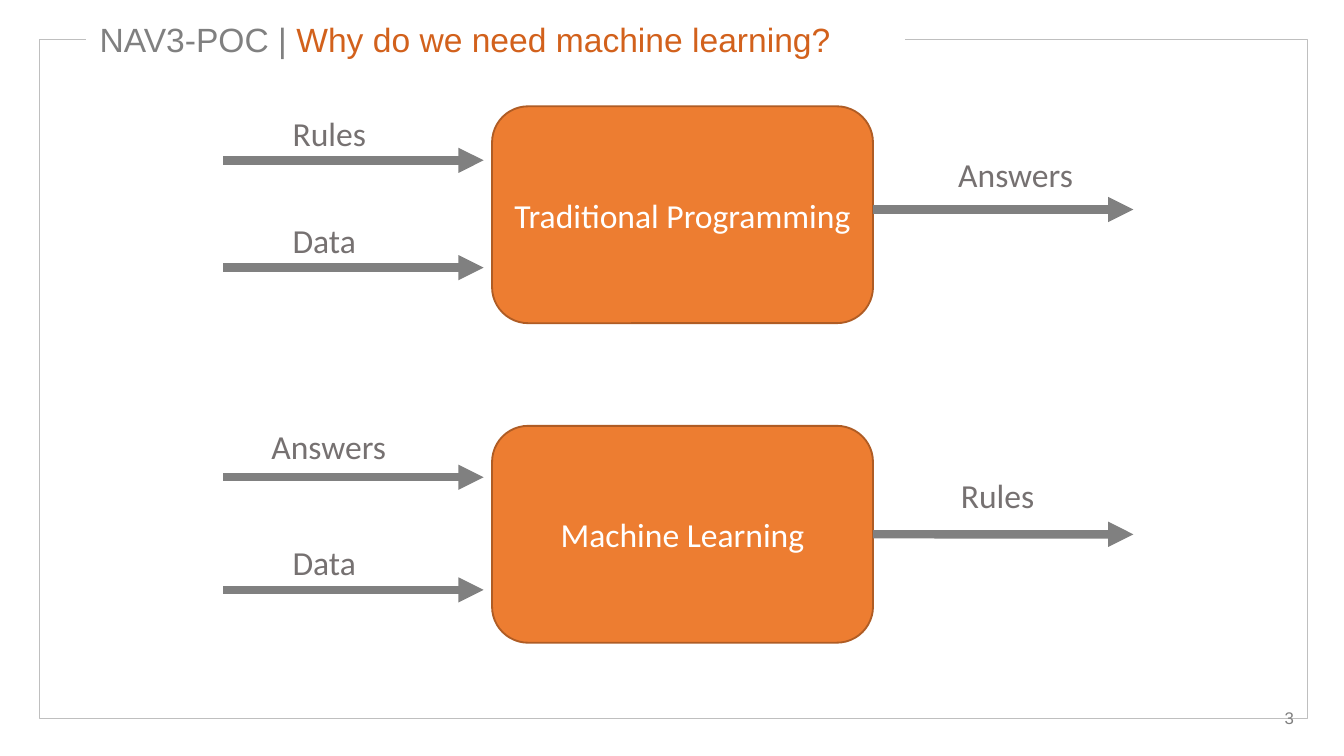
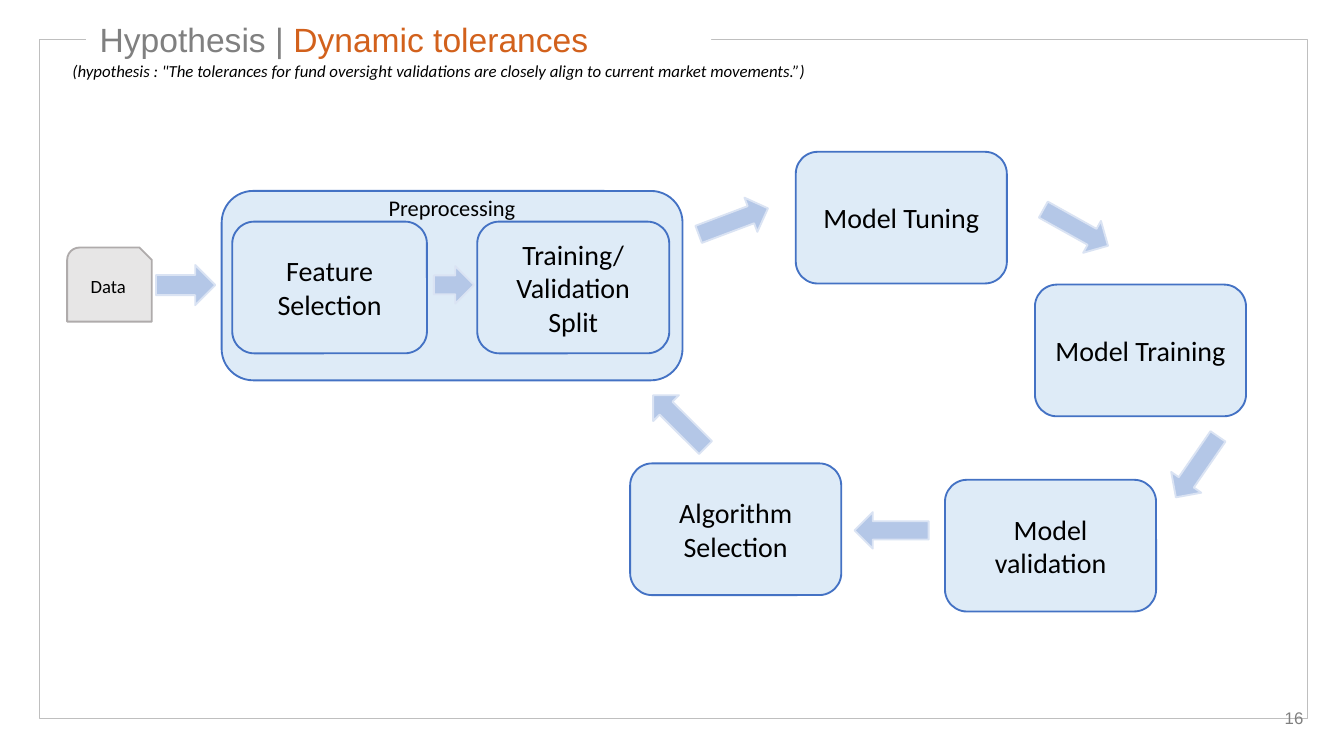
from lxml import etree
from pptx import Presentation
from pptx.dml.color import RGBColor
from pptx.enum import shapes, text
from pptx.oxml.ns import qn
from pptx.util import Cm, Pt

COLOURS = {
    "paper": "FFFFFF", "ink": "000000", "frame": "BFBFBF", "grey": "808080",
    "accent": "D2611C", "label": "767171", "orange": "ED7D31", "rust": "AF5C24",
    "pale": "DEEBF7", "blue": "4472C4", "arrow": "B4C7E7", "arrow_edge": "DAE3F3",
    "data": "E7E6E6", "data_edge": "AFABAB",
}
LABEL_WIDTHS = {"Rules": 1.9, "Data": 1.73, "Answers": 2.69}
SHAPE = shapes.MSO_SHAPE


def colour(name):
    """Return the named palette colour."""
    return RGBColor.from_string(COLOURS[name])


def style_font(font, size, ink, family="Calibri", italic=None):
    """Give a font its family, size and colour."""
    font.name, font.size, font.italic = family, Pt(size), italic
    font.color.rgb = colour(ink)


def add_block(slide, kind, box, fill, edge, weight=1):
    """Draw a preset shape in a box of centimetres."""
    block = slide.shapes.add_shape(kind, *map(Cm, box))
    block.shadow.inherit = False
    if fill:
        block.fill.solid()
        block.fill.fore_color.rgb = colour(fill)
    else:
        block.fill.background()
    block.line.color.rgb = colour(edge)
    block.line.width = Pt(weight)
    return block


def add_node(slide, words, box, fill="pale", edge="blue", size=15, ink="ink",
             kind=SHAPE.ROUNDED_RECTANGLE):
    """Draw a block with centred words."""
    node = add_block(slide, kind, box, fill, edge)
    frame = node.text_frame
    frame.text = words
    frame.word_wrap = True
    frame.vertical_anchor = text.MSO_ANCHOR.MIDDLE
    frame.margin_left = frame.margin_right = Cm(0.2)
    for paragraph in frame.paragraphs:
        paragraph.alignment = text.PP_ALIGN.CENTER
        style_font(paragraph.font, size, ink)
    return node


def add_note(slide, words, box, size, ink, family="Calibri", italic=None, wrap=True):
    """Write one line of free text."""
    note = slide.shapes.add_textbox(*map(Cm, box))
    note.text_frame.text = words
    note.text_frame.word_wrap = wrap
    style_font(note.text_frame.paragraphs[0].font, size, ink, family, italic)
    return note


def add_flow_line(slide, left, right, y):
    """Draw a thick horizontal arrow."""
    flow = slide.shapes.add_connector(
        shapes.MSO_CONNECTOR.STRAIGHT, Cm(left), Cm(y), Cm(right), Cm(y))
    flow.line.color.rgb = colour("grey")
    flow.line.width = Pt(4.5)
    properties = flow.element.spPr
    etree.SubElement(properties.find(qn("a:ln")), qn("a:tailEnd"), type="triangle")
    etree.SubElement(properties, qn("a:effectLst"))
    return flow


def add_block_arrow(slide, box, angle=0):
    """Draw a pale block arrow turned by an angle."""
    add_block(slide, SHAPE.RIGHT_ARROW, box, "arrow", "arrow_edge").rotation = angle


def add_framed_slide(deck, topic, subject, title_width, number):
    """Add a slide with the frame, two-colour title and page number."""
    slide = deck.slides.add_slide(deck.slide_layouts[5])
    add_block(slide, SHAPE.RECTANGLE, (0.74, 0.74, 23.98, 12.85), None, "frame", 0.5)
    title = slide.shapes.title
    title.element.getparent().append(title.element)
    title.left, title.top, title.width, title.height = map(
        Cm, (1.63, 0.23, title_width, 1.02))
    title.fill.solid()
    title.fill.fore_color.rgb = colour("paper")
    frame = title.text_frame
    frame.word_wrap = True
    frame.auto_size = text.MSO_AUTO_SIZE.NONE
    frame.vertical_anchor = text.MSO_ANCHOR.TOP
    heading = frame.paragraphs[0]
    heading.alignment = text.PP_ALIGN.LEFT
    for words, ink in ((topic + " | ", "grey"), (subject, "accent")):
        run = heading.add_run()
        run.text = words
        style_font(run.font, 18, ink, "Arial")
    page = add_note(slide, number, (24.03, 13.18, 1.14, 0.76), 9, "grey", "Arial")
    page.text_frame.vertical_anchor = text.MSO_ANCHOR.MIDDLE
    return slide


def add_program(slide, box, name, inputs, output):
    """Draw a program box with its labelled inputs and output."""
    left, top, width, height = box
    program = add_node(slide, name, box, "orange", "rust", 18, "paper")
    for word, label_x, label_y, _ in (*inputs, output):
        label_box = (left + label_x, top + label_y, LABEL_WIDTHS[word], 1.02)
        label = add_note(slide, word, label_box, 18, "label", wrap=False)
        label.text_frame.auto_size = text.MSO_AUTO_SIZE.SHAPE_TO_FIT_TEXT
    for *_, y in inputs:
        add_flow_line(slide, left - 5.08, left - 0.16, top + y)
    result_y = output[-1]
    result = add_flow_line(slide, left + width, left + width + 4.92, top + result_y)
    if result_y == height / 2:
        result.begin_connect(program, 3)


def add_preprocessing(slide, box):
    """Draw the preprocessing group and the data that enters it."""
    left, top, width, height = box
    middle = top + 1.78
    add_node(slide, "Data", (left - 2.92, middle - 0.71, 1.6, 1.4), "data",
             "data_edge", 10, kind=SHAPE.SNIP_ROUND_RECTANGLE)
    add_block_arrow(slide, (left - 1.24, middle - 0.38, 1.12, 0.76))
    group = add_node(slide, "Preprocessing", box, size=12)
    group.text_frame.vertical_anchor = text.MSO_ANCHOR.TOP
    group.text_frame.margin_top = Cm(-0.12)
    add_node(slide, "Feature Selection", (left + 0.2, top + 0.58, 3.68, 2.49))
    add_node(slide, "Training/\nValidation Split", (left + 4.83, top + 0.58, 3.63, 2.49))
    add_block_arrow(slide, (left + 4.01, middle - 0.36, 0.76, 0.71))


def add_model_cycle(slide, left, top):
    """Draw the model steps and the arrows that lead around them."""
    steps = (("Model Tuning", 3.13, 0), ("Model Training", 7.65, 2.51),
             ("Model validation", 5.95, 6.2), ("Algorithm Selection", 0, 5.89))
    for name, x, y in steps:
        add_node(slide, name, (left + x, top + y, 3.99, 2.49))
    turns = ((1.25, 0.97, 339.4), (7.72, 1.09, 29.2), (10.01, 5.61, 124.6),
             (4.24, 6.81, 180), (0.23, 4.75, 224.9))
    for x, y, angle in turns:
        add_block_arrow(slide, (left + x, top + y, 1.4, 0.69), angle)


def add_comparison_slide(deck):
    """Compare traditional programming with machine learning."""
    slide = add_framed_slide(
        deck, "NAV3-POC", "Why do we need machine learning?", 15.47, "3")
    add_program(slide, (9.3, 2.01, 7.2, 4.1), "Traditional Programming",
                (("Rules", -4.02, 0, 1.02), ("Data", -4.02, 2.03, 3.05)),
                ("Answers", 8.56, 0.78, 1.95))
    add_program(slide, (9.3, 8.05, 7.2, 4.1), "Machine Learning",
                (("Answers", -4.42, -0.13, 0.97), ("Data", -4.02, 2.06, 3.1)),
                ("Rules", 8.61, 0.81, 2.05))


def add_hypothesis_slide(deck):
    """Show the modelling process behind the hypothesis."""
    slide = add_framed_slide(deck, "Hypothesis", "Dynamic tolerances", 11.81, "16")
    hypothesis = ('(hypothesis : "The tolerances for fund oversight validations '
                  'are closely align to current market movements.”)')
    add_note(slide, hypothesis, (1.12, 1.02, 22.35, 0.63), 9, "ink", italic=True)
    add_model_cycle(slide, 11.91, 2.87)
    add_preprocessing(slide, (4.19, 3.61, 8.71, 3.58))


def main():
    """Build and save the deck."""
    deck = Presentation()
    deck.slide_width, deck.slide_height = Cm(25.4), Cm(14.29)
    add_comparison_slide(deck)
    add_hypothesis_slide(deck)
    deck.save("out.pptx")


if __name__ == "__main__":
    main()
